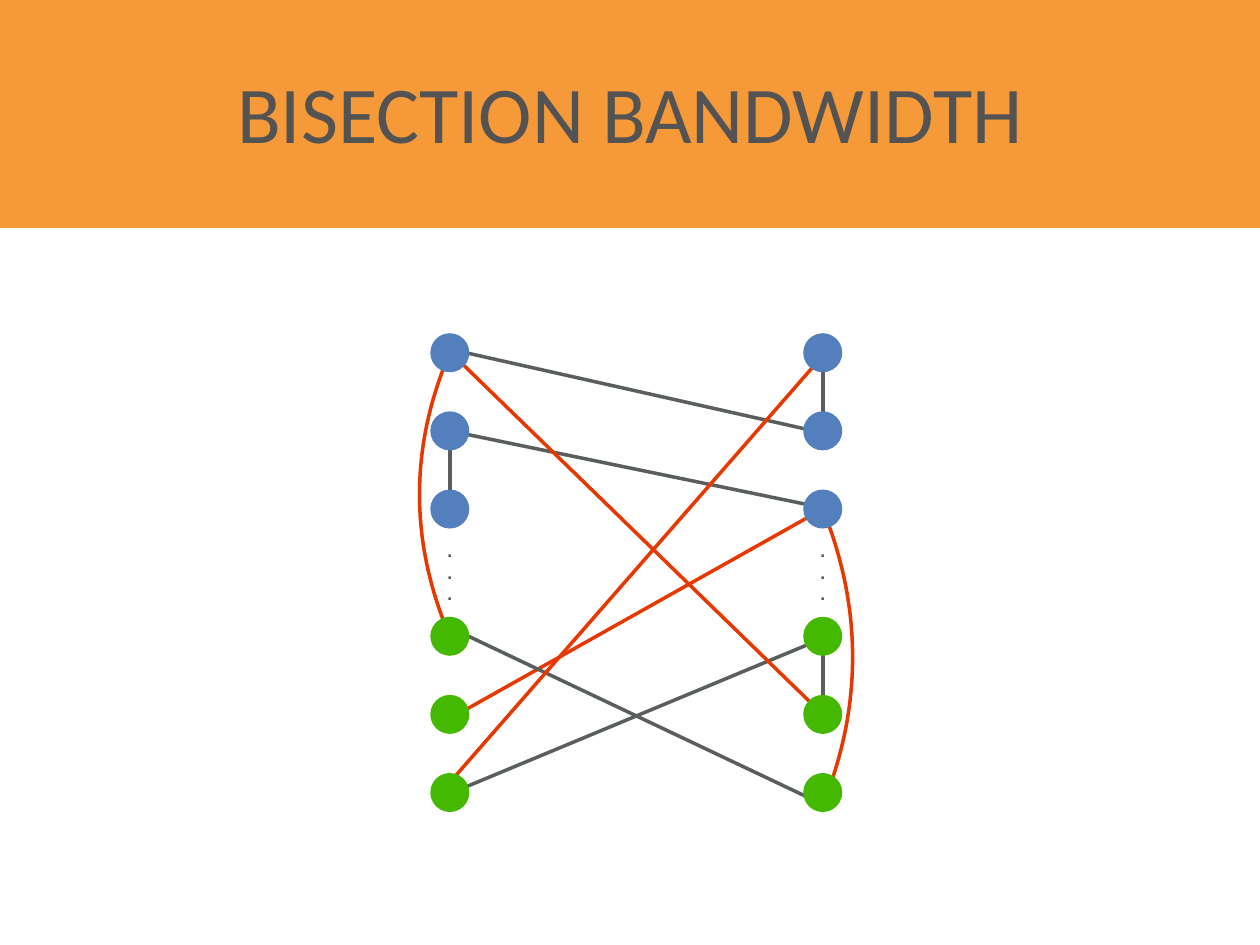
from lxml import etree
from pptx import Presentation
from pptx.dml.color import RGBColor
from pptx.enum.shapes import MSO_CONNECTOR, MSO_SHAPE
from pptx.enum.text import MSO_ANCHOR, PP_ALIGN
from pptx.oxml.ns import qn
from pptx.util import Inches, Pt

STRAIGHT = MSO_CONNECTOR.STRAIGHT
RECTANGLE, OVAL = MSO_SHAPE.RECTANGLE, MSO_SHAPE.OVAL
MIDDLE, CENTER = MSO_ANCHOR.MIDDLE, PP_ALIGN.CENTER

ORANGE = RGBColor(0xF6, 0x99, 0x39)
TEXT_GRAY = RGBColor(0x53, 0x53, 0x53)
LINK_GRAY = RGBColor(0x5A, 0x5F, 0x5E)
CUT_RED = RGBColor(0xE6, 0x38, 0x00)
BLUE = RGBColor(0x54, 0x7F, 0xBD)
GREEN = RGBColor(0x45, 0xB9, 0x02)

WIDTH, HEIGHT = 10, 7.5
LEFT, RIGHT = 0, 1
HALF_ROWS = 3
CENTERED = (0, 0)

# Bows join two nodes of one column: column, rows, sideways pull, end nudge
BOWS = [
    (RIGHT, 2, 5, 0.29, (0.02, 0.05)),
    (LEFT, 3, 0, -0.32, CENTERED),
]

# Links: colour, (column, row) of both nodes, nudge of each end from its node
LINKS = [
    (LINK_GRAY, (LEFT, 0), (RIGHT, 1), (0.13, 0), (-0.07, 0)),
    (LINK_GRAY, (LEFT, 1), (RIGHT, 2), CENTERED, (0.05, 0)),
    (LINK_GRAY, (LEFT, 2), (LEFT, 1), CENTERED, CENTERED),
    (LINK_GRAY, (RIGHT, 4), (RIGHT, 3), CENTERED, CENTERED),
    (LINK_GRAY, (RIGHT, 1), (RIGHT, 0), CENTERED, CENTERED),
    (CUT_RED, (LEFT, 4), (RIGHT, 2), (0.06, 0), CENTERED),
    (LINK_GRAY, (LEFT, 3), (RIGHT, 5), (-0.02, -0.08), (-0.03, 0.08)),
    (LINK_GRAY, (LEFT, 5), (RIGHT, 3), (0.02, 0), (0.04, 0)),
    (CUT_RED, (LEFT, 0), (RIGHT, 4), (0.06, 0.05), CENTERED),
    (CUT_RED, (RIGHT, 0), (LEFT, 5), (-0.05, 0.08), (0, -0.08)),
]


class NetworkSlide:
    first_x, column_gap = 3.57, 2.96
    first_y, row_gap, half_gap = 2.8, 0.62, 2.25
    node_size = 0.31
    line_width = Pt(2)
    bow_steps = 40

    def __init__(self, slide):
        self.shapes = slide.shapes

    def point(self, column, row, nudge=CENTERED):
        """Centre of a grid node in inches, moved by nudge."""
        half, step = divmod(row, HALF_ROWS)
        x = self.first_x + column * self.column_gap
        y = self.first_y + half * self.half_gap + step * self.row_gap
        return x + nudge[0], y + nudge[1]

    def filled(self, kind, color, x, y, width, height):
        shape = self.shapes.add_shape(
            kind, Inches(x), Inches(y), Inches(width), Inches(height))
        shape.shadow.inherit = False
        shape.fill.solid()
        shape.fill.fore_color.rgb = color
        shape.line.fill.background()
        return shape

    def label(self, shape, text, font, size, bold=False):
        frame = shape.text_frame
        frame.word_wrap = True
        frame.vertical_anchor = MIDDLE
        frame.text = text
        for paragraph in frame.paragraphs:
            paragraph.alignment = CENTER
            for run in paragraph.runs:
                run.font.name = font
                run.font.size = Pt(size)
                run.font.bold = bold
                run.font.color.rgb = TEXT_GRAY
        return frame

    def title(self, text):
        band = self.filled(RECTANGLE, ORANGE, 0, -0.05, WIDTH, 1.86)
        self.label(band, text, "Calibri", 46)

    def node(self, column, row):
        x, y = self.point(column, row)
        color = BLUE if row < HALF_ROWS else GREEN
        size = self.node_size
        self.filled(OVAL, color, x - size / 2, y - size / 2, size, size)

    def link(self, color, start, end, start_nudge, end_nudge):
        ends = self.point(*start, start_nudge) + self.point(*end, end_nudge)
        line = self.shapes.add_connector(STRAIGHT, *map(Inches, ends))
        line.line.color.rgb = color
        line.line.width = self.line_width
        etree.SubElement(line._element.spPr, qn("a:effectLst"))

    def bow(self, column, start_row, end_row, pull, nudge):
        """Cubic curve whose two control points lie sideways by pull."""
        x, top = self.point(column, start_row, nudge)
        _, bottom = self.point(column, end_row, nudge)
        steps = [i / self.bow_steps for i in range(self.bow_steps + 1)]
        points = [(Inches(x + 3 * t * (1 - t) * pull),
                   Inches(top + t * (bottom - top))) for t in steps]
        builder = self.shapes.build_freeform(*points[0])
        builder.add_line_segments(points[1:], close=False)
        curve = builder.convert_to_shape()
        curve.shadow.inherit = False
        curve.fill.background()
        curve.line.color.rgb = CUT_RED
        curve.line.width = self.line_width

    def ellipsis(self, column):
        x, _ = self.point(column, 0)
        box = self.shapes.add_textbox(
            Inches(x - 0.07), Inches(4.26), Inches(0.14), Inches(0.56))
        frame = self.label(box, "\n".join("..."), "Arial", 10, bold=True)
        frame.margin_left = frame.margin_right = Inches(0.04)
        frame.margin_top = frame.margin_bottom = Inches(0.06)
        for paragraph in frame.paragraphs:
            paragraph.line_spacing = Pt(12.2)


def main():
    presentation = Presentation()
    presentation.slide_width = Inches(WIDTH)
    presentation.slide_height = Inches(HEIGHT)
    blank = presentation.slide_layouts[6]
    network = NetworkSlide(presentation.slides.add_slide(blank))

    for bow in BOWS:
        network.bow(*bow)
    for link in LINKS:
        network.link(*link)
    for column in (LEFT, RIGHT):
        for row in range(2 * HALF_ROWS):
            network.node(column, row)
        network.ellipsis(column)
    network.title("BISECTION BANDWIDTH")

    presentation.save("out.pptx")


if __name__ == "__main__":
    main()
